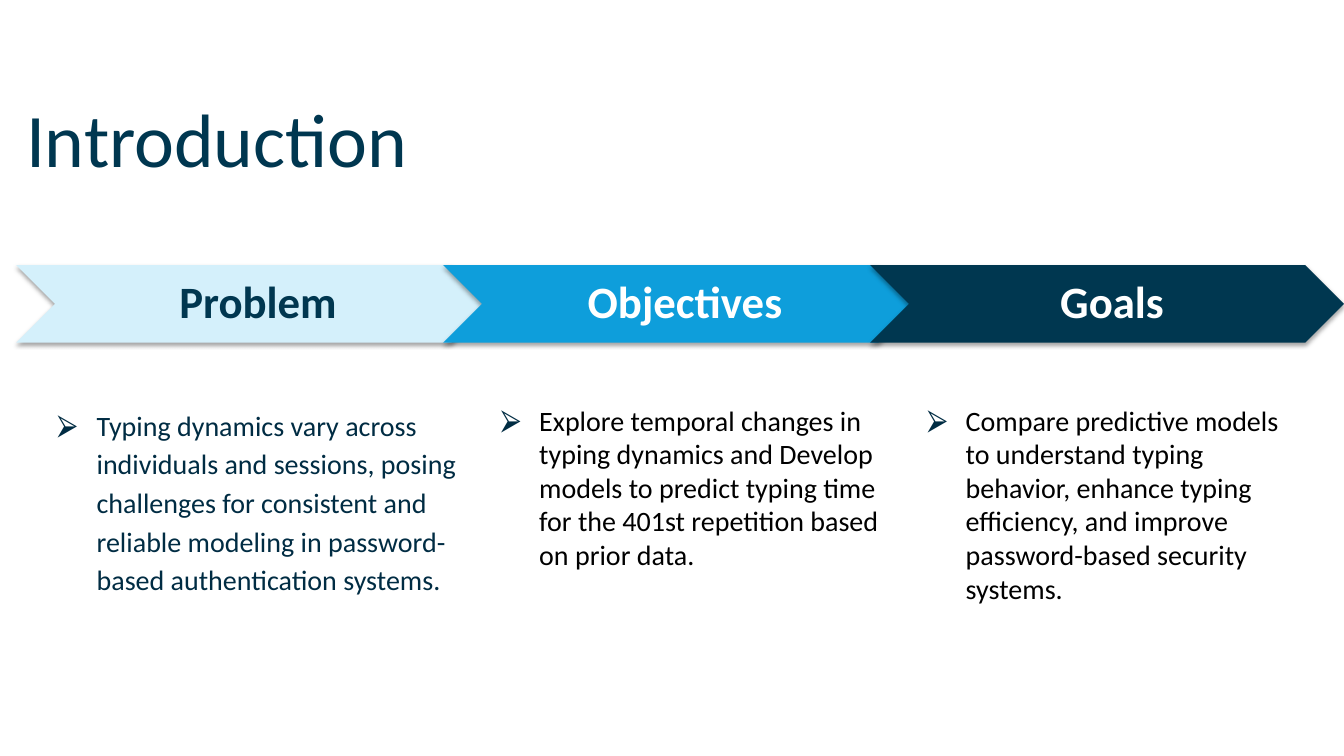
from dataclasses import dataclass

from lxml import etree
from pptx import Presentation
from pptx import util as u
from pptx.dml.color import RGBColor
from pptx.enum import shapes, text
from pptx.oxml import ns


@dataclass(frozen=True)
class Theme:
    font: str = "Calibri"
    navy: str = "003750"
    ink: str = "002C43"
    blue: str = "0E9EDB"
    pale: str = "D4F0FB"
    white: str = "FFFFFF"
    black: str = "000000"
    title: int = 54
    head: int = 32
    body: int = 20


THEME = Theme()
TOP, STEP, LEFT = 2.63, 4.235, 0.16


def node(parent, tag, **attrs):
    return etree.SubElement(parent, ns.qn(tag), attrs)


def add_text(slide, words, box, size, color, bold=False, align=None,
             anchor=text.MSO_ANCHOR.TOP, space=1.0, inset=(0.1, 0.1), bullet=None):
    """Add a text box; bullet is an optional (margin, indent) in inches."""
    frame = slide.shapes.add_textbox(*map(u.Inches, box)).text_frame
    frame.word_wrap = True
    frame.vertical_anchor = anchor
    frame.margin_left, frame.margin_right = map(u.Inches, inset)
    para = frame.paragraphs[0]
    if bullet:
        props = para._p.get_or_add_pPr()
        margin, indent = map(u.Inches, bullet)
        props.set("marL", str(margin))
        props.set("indent", str(indent))
        node(node(props, "a:buClr"), "a:srgbClr", val=THEME.ink)
        node(props, "a:buFont", typeface=THEME.font)
        node(props, "a:buChar", char="⮚")
    para.alignment = align
    para.line_spacing = space
    run = para.add_run()
    run.text = words
    run.font.name = THEME.font
    run.font.size = u.Pt(size)
    run.font.bold = bold
    run.font.color.rgb = RGBColor.from_string(color)


def add_shadow(shape):
    effects = node(shape._element.spPr, "a:effectLst")
    shadow = node(effects, "a:outerShdw", blurRad=str(u.Pt(3.1)),
                  dist=str(u.Pt(1.8)), dir="5400000", rotWithShape="0")
    node(node(shadow, "a:srgbClr", val=THEME.black), "a:alpha", val="35000")


def add_stage(slide, left, label, fill, color):
    """Add a chevron with its centred heading."""
    arrow = slide.shapes.add_shape(
        shapes.MSO_SHAPE.CHEVRON, *map(u.Inches, (left, TOP, 4.7, 0.77)))
    arrow.fill.solid()
    arrow.fill.fore_color.rgb = RGBColor.from_string(fill)
    arrow.line.fill.background()
    add_shadow(arrow)
    add_text(slide, label, (left + 0.39, TOP, 3.93, 0.77), THEME.head, color,
             bold=True, align=text.PP_ALIGN.CENTER, space=0.9,
             anchor=text.MSO_ANCHOR.MIDDLE, inset=(0.14, 0.05))


def add_point(slide, words, box, color, bullet, space=1.0):
    add_text(slide, words, box, THEME.body, color, bullet=bullet, space=space)


def main():
    deck = Presentation()
    deck.slide_width, deck.slide_height = u.Inches(13.33), u.Inches(7.5)
    slide = deck.slides.add_slide(deck.slide_layouts[6])

    add_text(slide, "Introduction", (LEFT, 0.76, 10, 1.11), THEME.title,
             THEME.navy, anchor=text.MSO_ANCHOR.BOTTOM, space=0.9)

    stages = [("Problem", THEME.pale, THEME.navy),
              ("Objectives", THEME.blue, THEME.white),
              ("Goals", THEME.navy, THEME.white)]
    for i, stage in enumerate(stages):
        add_stage(slide, LEFT + i * STEP, *stage)

    add_point(slide, "Typing dynamics vary across individuals and sessions, "
              "posing challenges for consistent and reliable modeling in "
              "password-based authentication systems.",
              (0.36, 3.95, 4.35, 3.44), THEME.ink, (0.5, -0.39), space=1.15)
    add_point(slide, "Explore temporal changes in typing dynamics and Develop "
              "models to predict typing time for the 401st repetition based "
              "on prior data.",
              (4.63, 3.95, 4.23, 2.78), THEME.black, (0.62, -0.38))
    add_point(slide, "Compare predictive models to understand typing behavior, "
              "enhance typing efficiency, and improve password-based security "
              "systems.",
              (8.86, 3.95, 4.13, 2.78), THEME.black, (0.62, -0.38))
    deck.save("out.pptx")


if __name__ == "__main__":
    main()
